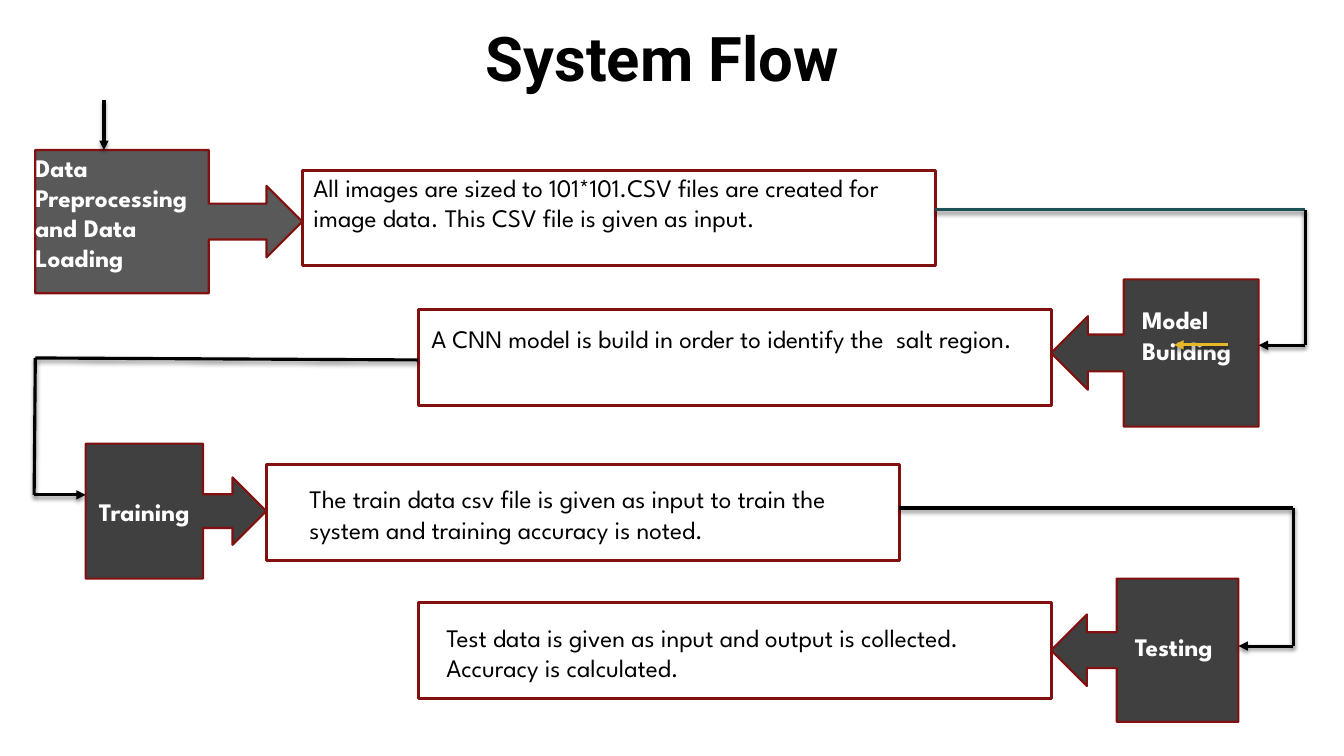
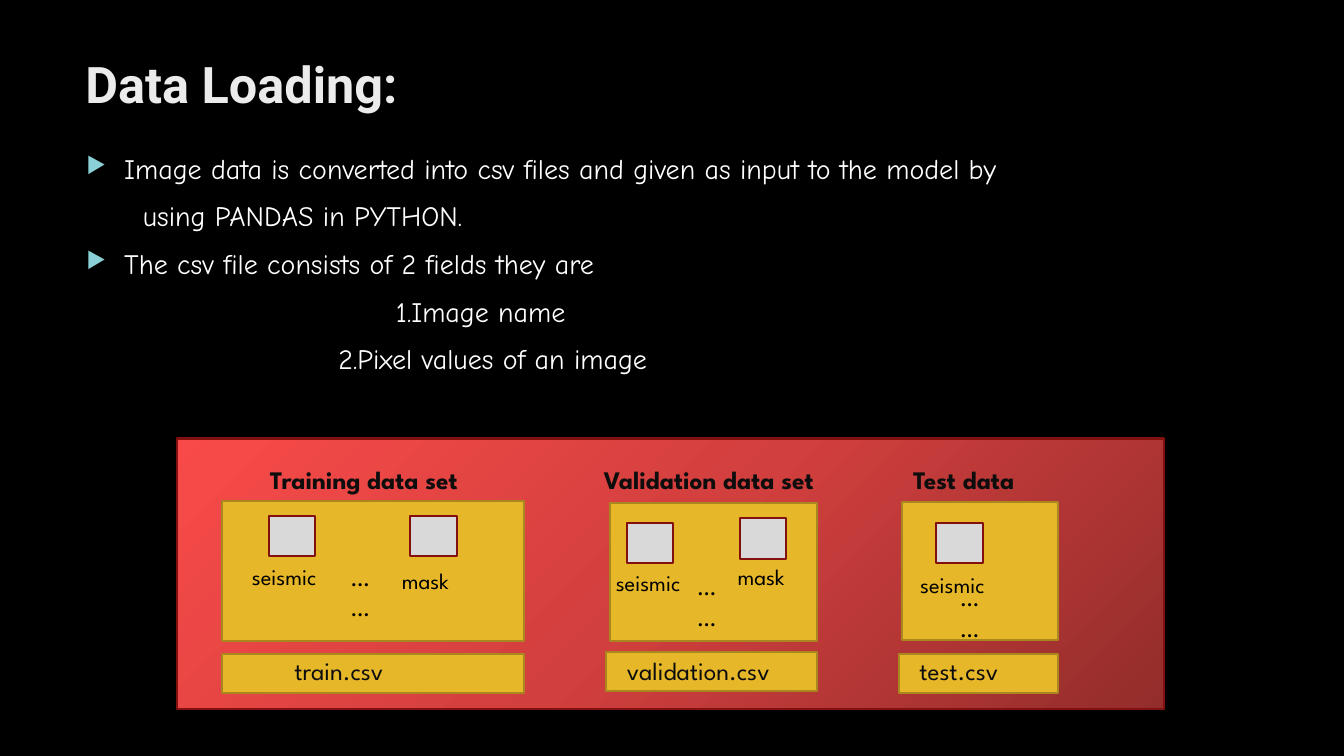
from lxml import etree
from pptx import Presentation
from pptx import util as u
from pptx.dml import color
from pptx.enum import shapes, text
from pptx.oxml import ns

COLORS = {
    "black": "000000", "white": "FFFFFF", "title_light": "EBEBEB",
    "heading": "0D0D0D", "callout_first": "595959", "callout": "404040",
    "border": "82100E", "teal": "1E5155", "gold": "E6B729",
    "gold_border": "AA871E", "swatch": "D9D9D9", "bullet": "8AD0D6",
    "panel_dark": "932D2B", "panel_mid": "D13F3E", "panel_light": "F84B49",
}
MAIN_FONT, BODY_FONT, TITLE_FONT = "League Spartan", "Comic Neue", "Roboto"
SHAPE = shapes.MSO_SHAPE


def rgb(name):
    return color.RGBColor.from_string(COLORS[name])


def cm_box(box):
    return [u.Cm(value) for value in box]


def add_xml(parent, tag, **attributes):
    return etree.SubElement(parent, ns.qn(tag), attributes)


def set_font(para, size, tint, bold=False, face=MAIN_FONT):
    font = para.font
    font.name, font.size, font.bold = face, u.Pt(size), bold
    font.color.rgb = rgb(tint)


def set_frame(shape, insets):
    frame = shape.text_frame
    frame.word_wrap = True
    frame.auto_size = text.MSO_AUTO_SIZE.NONE
    frame.vertical_anchor = text.MSO_ANCHOR.TOP
    (frame.margin_left, frame.margin_top,
     frame.margin_right, frame.margin_bottom) = cm_box(insets)
    return frame


def write(shape, words, size, tint, bold=False, face=MAIN_FONT,
          insets=(0.25, 0.13, 0.25, 0.13)):
    para = set_frame(shape, insets).paragraphs[0]
    para.text = words
    para.alignment = text.PP_ALIGN.LEFT
    set_font(para, size, tint, bold, face)


def add_label(page, box, words, size, tint="black", bold=False):
    write(page.shapes.add_textbox(*cm_box(box)), words, size, tint, bold)


def add_block(page, kind, box, fill, border="border", weight=1.5):
    block = page.shapes.add_shape(kind, *cm_box(box))
    block.shadow.inherit = False
    if fill:
        block.fill.solid()
        block.fill.fore_color.rgb = rgb(fill)
    else:
        block.fill.background()
    block.line.color.rgb = rgb(border)
    block.line.width = u.Pt(weight)
    return block


def add_titled_page(deck, background, title, box, size, tint):
    page = deck.slides.add_slide(deck.slide_layouts[5])
    page.background.fill.solid()
    page.background.fill.fore_color.rgb = rgb(background)
    holder = page.shapes.title
    holder.left, holder.top, holder.width, holder.height = cm_box(box)
    write(holder, title, size, tint, True, TITLE_FONT)
    return page


def add_route(page, points, tint="black", arrow=True):
    for index, (start, end) in enumerate(zip(points, points[1:]), 2):
        line = page.shapes.add_connector(
            shapes.MSO_CONNECTOR.STRAIGHT, *cm_box(start + end))
        line.line.color.rgb = rgb(tint)
        line.line.width = u.Pt(2.25)
        if arrow and index == len(points):
            add_xml(line.line._get_or_add_ln(), "a:tailEnd", type="triangle")
        effects = add_xml(line._element.spPr, "a:effectLst")
        shadow = add_xml(effects, "a:outerShdw", blurRad=str(u.Pt(3)),
                         dist=str(u.Pt(2)), dir="5400000", rotWithShape="0")
        tone = add_xml(shadow, "a:srgbClr", val=COLORS["black"])
        add_xml(tone, "a:alpha", val="45000")


def add_stage(page, box, points_right, fill, label, label_inset,
              note, note_top, note_inset):
    left, top, width, height = box
    note_width, note_height = 15.95, 2.41
    kind = (SHAPE.RIGHT_ARROW_CALLOUT if points_right
            else SHAPE.LEFT_ARROW_CALLOUT)
    callout = add_block(page, kind, box, fill)
    write(callout, label, 18, "white", True, insets=(*label_inset, 0, 0))
    note_left = left + width if points_right else left - note_width
    note_box = add_block(
        page, SHAPE.RECTANGLE,
        (note_left, top + note_top, note_width, note_height), None, weight=2.25)
    write(note_box, note, 18, "black", insets=(*note_inset, 0.25, 0))


def build_flow_page(deck):
    page = add_titled_page(deck, "white", "System Flow",
                           (11.99, 0.38, 11.58, 2.13), 44, "black")
    stages = [
        ((0.89, 3.78, 6.73, 3.61), True, "callout_first",
         "Data Preprocessing and Data Loading", (0, 0.05),
         "All images are sized to 101*101.CSV files are created for image "
         "data. This CSV file is given as input.", 0.51, (0.28, 0.05)),
        ((26.49, 7.04, 5.23, 3.71), False, "callout",
         "Model Building", (0.46, 0.64),
         "A CNN model is build in order to identify the  salt region.",
         0.76, (0.33, 0.36)),
        ((2.16, 11.18, 4.55, 3.4), True, "callout",
         "Training", (0.33, 1.32),
         "The train data csv file is given as input to train the system "
         "and training accuracy is noted.", 0.53, (1.09, 0.48)),
        ((26.49, 14.58, 4.72, 3.61), False, "callout",
         "Testing", (0.46, 1.32),
         "Test data is given as input and output is collected. "
         "Accuracy is calculated.", 0.61, (0.71, 0.48)),
    ]
    for stage in stages:
        add_stage(page, *stage)
    add_route(page, [(2.62, 2.51), (2.62, 3.78)])
    add_route(page, [(30.94, 8.69), (29.59, 8.69)], "gold")
    add_route(page, [(23.57, 5.28), (32.89, 5.28)], "teal", arrow=False)
    add_route(page, [(32.89, 5.28), (32.89, 8.7), (31.72, 8.7)])
    add_route(page, [(10.54, 9.07), (0.89, 9.02), (0.86, 12.47), (2.16, 12.47)])
    add_route(page, [(22.66, 12.8), (32.59, 12.8), (32.59, 16.28),
                     (31.21, 16.28)])


def add_points(page, box, lines):
    frame = set_frame(page.shapes.add_textbox(*cm_box(box)),
                      (0.25, 0.13, 0.25, 0.13))
    for index, (words, indent, bulleted) in enumerate(lines):
        para = frame.add_paragraph() if index else frame.paragraphs[0]
        para.text = words
        if index:
            para.space_before = u.Pt(10)
        props = para._p.get_or_add_pPr()
        props.set("marL", str(u.Cm(indent)))
        props.set("indent", str(u.Cm(-indent if bulleted else 0)))
        if bulleted:
            tone = add_xml(props, "a:buClr")
            add_xml(tone, "a:srgbClr", val=COLORS["bullet"])
            add_xml(props, "a:buSzPct", val="80000")
            add_xml(props, "a:buChar", char="▶")
        else:
            add_xml(props, "a:buNone")
        set_font(para, 20, "white", face=BODY_FONT)


def add_gradient_panel(page, box):
    panel = add_block(page, SHAPE.RECTANGLE, box, None)
    panel.fill.gradient()
    panel.fill.gradient_angle = 135
    stops = panel._element.spPr.find(".//" + ns.qn("a:gsLst"))
    for stop in list(stops):
        stops.remove(stop)
    for position, name in ((0, "panel_dark"), (50, "panel_mid"),
                           (100, "panel_light")):
        stop = add_xml(stops, "a:gs", pos=str(position * 1000))
        add_xml(stop, "a:srgbClr", val=COLORS[name])


def add_data_set(page, box, heading, heading_at, samples, dots_at,
                 file_name, bar_at, bar_inset):
    left, top, width, height = box

    def place(at, *size):
        return (left + at[0], top + at[1], *size)

    add_block(page, SHAPE.RECTANGLE, box, "gold", "gold_border")
    add_label(page, place(heading_at, 6.4, 1.02), heading, 18, "heading", True)
    for name, swatch_at, name_at in samples:
        add_block(page, SHAPE.RECTANGLE, place(swatch_at, 1.17, 1.02), "swatch")
        add_label(page, place(name_at, 2.69, 0.94), name, 16)
    add_label(page, place(dots_at, 1.02, 1.8), "……", 18)
    bar = add_block(page, SHAPE.RECTANGLE,
                    place(bar_at, width - bar_at[0], 0.99),
                    "gold", "gold_border")
    write(bar, file_name, 18, "heading", insets=(*bar_inset, 0, 0))


def add_data_sets(page, box):
    add_gradient_panel(page, box)
    data_sets = [
        ((1.12, 1.57, 7.62, 3.53), "Training data set", (0.96, -1.06),
         [("seismic", (1.19, 0.38), (0.51, 1.43)),
          ("mask", (4.75, 0.38), (4.29, 1.53))],
         (3, 1.4), "train.csv", (0, 3.86), (1.83, 0.03)),
        ((10.9, 1.62, 5.21, 3.48), "Validation data set", (-0.41, -1.09),
         [("seismic", (0.43, 0.51), (-0.1, 1.53)),
          ("mask", (3.27, 0.39), (2.97, 1.38))],
         (1.95, 1.58), "validation.csv", (-0.1, 3.76), (0.53, 0.08)),
        ((18.26, 1.6, 3.94, 3.48), "Test data", (0.03, -1.09),
         [("seismic", (0.87, 0.53), (0.21, 1.6))],
         (1.22, 1.88), "test.csv", (-0.07, 3.83), (0.51, 0.03)),
    ]
    for (left, top, width, height), *details in data_sets:
        card = (box[0] + left, box[1] + top, width, height)
        add_data_set(page, card, *details)


def build_loading_page(deck):
    page = add_titled_page(deck, "black", "Data Loading:",
                           (1.9, 1.22, 26.14, 2.51), 36, "title_light")
    add_points(page, (1.93, 3.68, 29.18, 6.6), [
        ("Image data is converted into csv files and given as input to the "
         "model by", 0.95, True),
        ("using PANDAS in PYTHON.", 1.42, False),
        ("The csv file consists of 2 fields they are", 0.95, True),
        ("1.Image name", 7.8, False),
        ("2.Pixel values of an image", 6.35, False),
    ])
    add_data_sets(page, (4.47, 11.05, 24.87, 6.81))


def main():
    deck = Presentation()
    deck.slide_width, deck.slide_height = u.Cm(33.87), u.Cm(19.05)
    build_flow_page(deck)
    build_loading_page(deck)
    deck.save("out.pptx")


if __name__ == "__main__":
    main()
